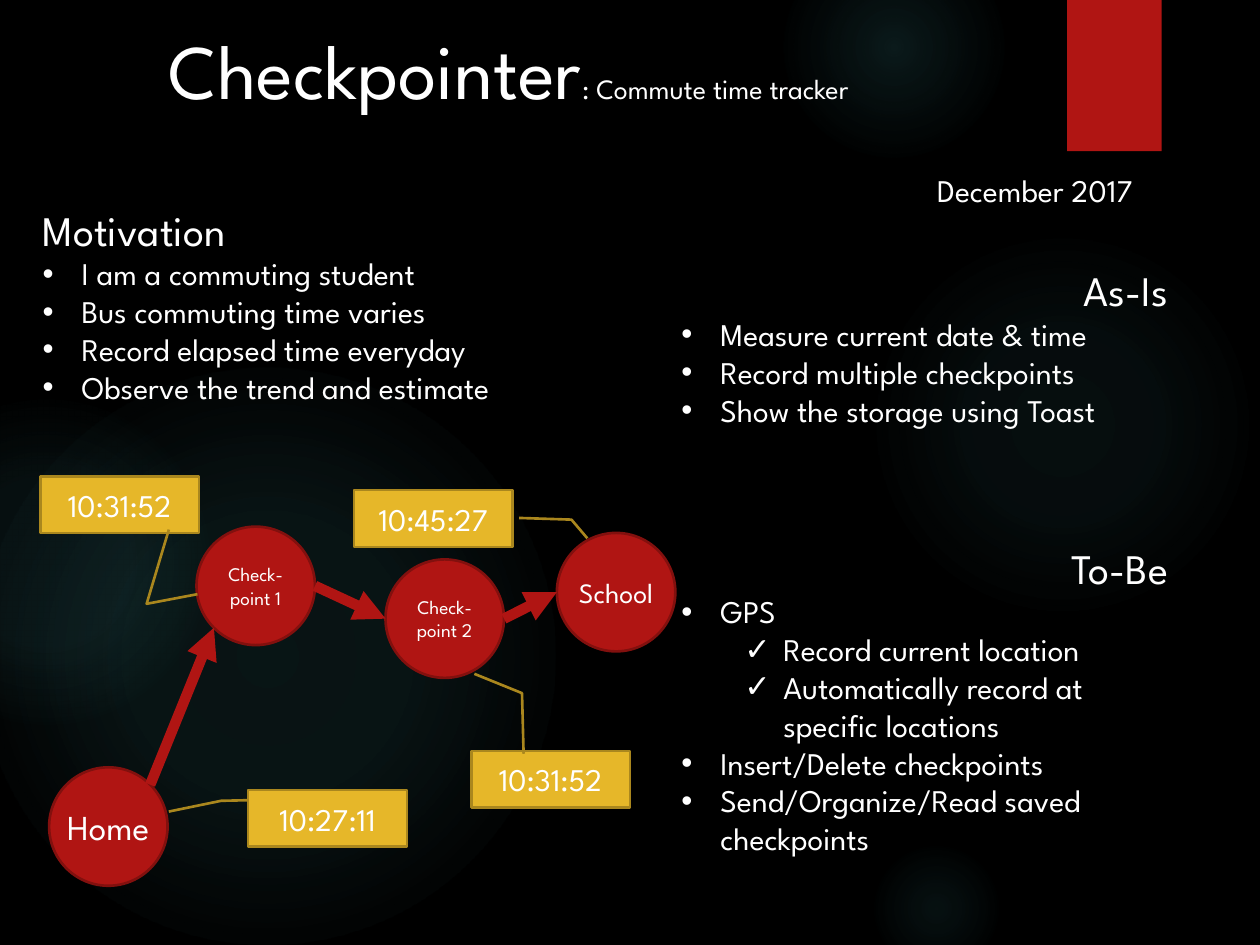
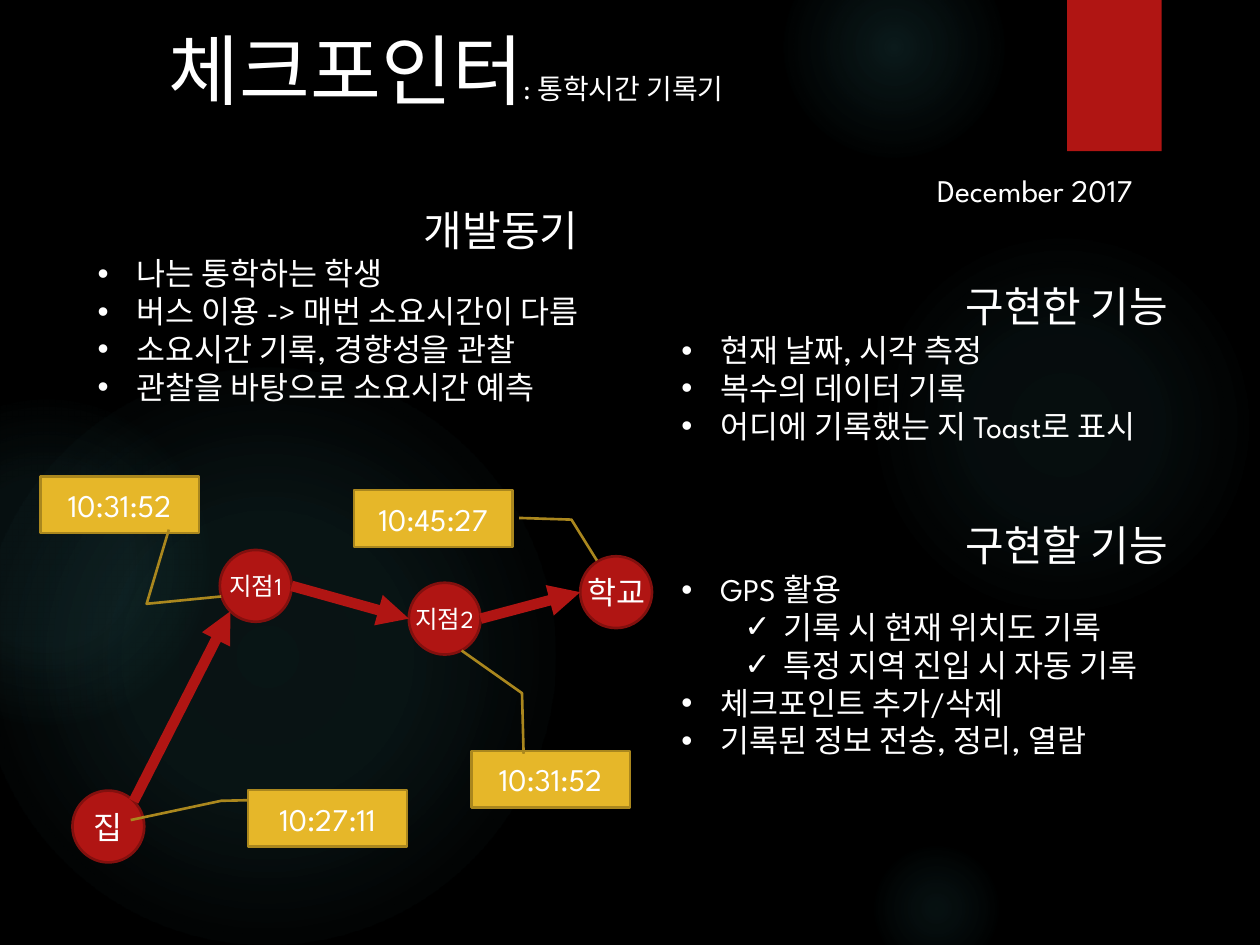
from math import cos, pi, sin

from lxml.etree import SubElement
from pptx import Presentation
from pptx.dml.color import RGBColor
from pptx.enum.shapes import MSO_CONNECTOR, MSO_SHAPE
from pptx.enum.text import MSO_ANCHOR, MSO_AUTO_SIZE, PP_ALIGN
from pptx.oxml.ns import qn
from pptx.util import Inches, Pt

FONT = "League Spartan"
BLACK, WHITE = "000000", "FFFFFF"
RED, DARK_RED = "B01513", "82100E"
GOLD, DARK_GOLD = "E6B729", "AA871E"
TEAL = "50B9C1"

GLOWS = [
    (6.89, 1.83, 3.08, [(0, 7), (36, 6), (69, 0)]),
    (6.22, -0.5, 1.75, [(0, 14), (36, 7), (73, 0)]),
    (6.89, 6.67, 1.08, [(0, 9), (36, 5), (66, 0)]),
    (-0.17, 2.92, 4.58, [(0, 11), (36, 10), (75, 0)]),
    (-0.92, 3.17, 2.58, [(0, 8), (36, 8), (72, 0)]),
]
STOP_CENTERS = [(0.86, 6.56), (2.03, 4.65), (3.53, 4.91), (4.89, 4.7)]
UP_RIGHT, RIGHT, DOWN_LEFT, LEFT = -pi / 4, 0, 3 * pi / 4, pi
LEGS = [(UP_RIGHT, DOWN_LEFT), (RIGHT, LEFT), (RIGHT, LEFT)]
TIMES = [
    ("10:27:11", 1.97, 6.27),
    ("10:31:52", 0.32, 3.78),
    ("10:31:52", 3.74, 5.96),
    ("10:45:27", 2.81, 3.89),
]
HEADING, POINT, CHECK = "heading", "point", "check"

ENGLISH = {
    "title": ("Checkpointer", ": Commute time tracker"),
    "motivation_at": (0.24, 1.57, 4.45, 1.72),
    "motivation_align": PP_ALIGN.LEFT,
    "motivation": [
        (HEADING, "Motivation"),
        (POINT, "I am a commuting student"),
        (POINT, "Bus commuting time varies"),
        (POINT, "Record elapsed time everyday"),
        (POINT, "Observe the trend and estimate"),
    ],
    "features_at": (5.31, 2.05, 4.06, 4.85),
    "features_gap": 65,
    "features": [
        (HEADING, "As-Is"),
        (POINT, "Measure current date & time"),
        (POINT, "Record multiple checkpoints"),
        (POINT, "Show the storage using Toast"),
        (HEADING, "To-Be"),
        (POINT, "GPS"),
        (CHECK, "Record current location"),
        (CHECK, "Automatically record at specific locations"),
        (POINT, "Insert/Delete checkpoints"),
        (POINT, "Send/Organize/Read saved checkpoints"),
    ],
    "stop_diameter": 0.94,
    "stops": [(["Home"], 20), (["Check-", "point 1"], 11),
              (["Check-", "point 2"], 11), (["School"], 16)],
    "leaders": [
        (0.18, 0, 0.19, -0.17, 0.38, -0.5),
        (0.94, 0.81, 2.25, 0.67, 2.08, 0.99),
        (0.05, 0.33, -1.02, 0.32, -1.36, 0.02),
        (0.85, 1.47, 0.52, 1.37, 0.49, 1.04),
    ],
}

KOREAN = {
    "title": ("체크포인터", ": 통학시간 기록기"),
    "motivation_at": (0.32, 1.57, 4.37, 1.72),
    "motivation_align": PP_ALIGN.RIGHT,
    "motivation": [
        (HEADING, "개발동기"),
        (POINT, "나는 통학하는 학생"),
        (POINT, "버스 이용 -> 매번 소요시간이 다름"),
        (POINT, "소요시간 기록, 경향성을 관찰"),
        (POINT, "관찰을 바탕으로 소요시간 예측"),
    ],
    "features_at": (5.31, 2.18, 4.06, 4.54),
    "features_gap": 43,
    "features": [
        (HEADING, "구현한 기능"),
        (POINT, "현재 날짜, 시각 측정"),
        (POINT, "복수의 데이터 기록"),
        (POINT, "어디에 기록했는 지 Toast로 표시"),
        (HEADING, "구현할 기능"),
        (POINT, "GPS 활용"),
        (CHECK, "기록 시 현재 위치도 기록"),
        (CHECK, "특정 지역 진입 시 자동 기록"),
        (POINT, "체크포인트 추가/삭제"),
        (POINT, "기록된 정보 전송, 정리, 열람"),
    ],
    "stop_diameter": 0.57,
    "stops": [(["집"], 18), (["지점1"], 14), (["지점2"], 14), (["학교"], 18)],
    "leaders": [
        (0.18, 0, 0.19, -0.17, 0.53, -0.74),
        (0.94, 0.81, 2.25, 0.67, 2.12, 1.14),
        (0.05, 0.33, -1.02, 0.32, -1.77, -0.06),
        (1.24, 1.53, 0.52, 1.37, 0.49, 1.04),
    ],
}


def color(value):
    return RGBColor.from_string(value)


def box(*lengths):
    return [Inches(length) for length in lengths]


def style_run(run, size):
    run.font.name = FONT
    run.font.size = Pt(size)
    run.font.color.rgb = color(WHITE)


def write_lines(frame, lines, size, align):
    frame.text = "\n".join(lines)
    for paragraph in frame.paragraphs:
        paragraph.alignment = align
        style_run(paragraph.runs[0], size)


def add_panel(slide, kind, place, fill, outline=None):
    panel = slide.shapes.add_shape(kind, *box(*place))
    panel.shadow.inherit = False
    panel.fill.solid()
    panel.fill.fore_color.rgb = color(fill)
    if outline:
        panel.line.color.rgb = color(outline)
        panel.line.width = Pt(1.5)
    else:
        panel.line.fill.background()
    return panel


def add_label(slide, place, wrap):
    label = slide.shapes.add_textbox(*box(*place))
    label.text_frame.word_wrap = wrap
    label.text_frame.auto_size = MSO_AUTO_SIZE.SHAPE_TO_FIT_TEXT
    return label.text_frame


def add_alpha_color(parent, value, percent):
    tint = SubElement(parent, qn("a:srgbClr"), val=value)
    SubElement(tint, qn("a:alpha"), val=str(percent * 1000))


def add_glow(slide, left, top, size, stops):
    glow = add_panel(slide, MSO_SHAPE.OVAL, (left, top, size, size), TEAL)
    solid = glow.element.spPr.find(qn("a:solidFill"))
    gradient = SubElement(glow.element.spPr, qn("a:gradFill"), rotWithShape="1")
    stop_list = SubElement(gradient, qn("a:gsLst"))
    for position, alpha in stops:
        stop = SubElement(stop_list, qn("a:gs"), pos=str(position * 1000))
        add_alpha_color(stop, TEAL, alpha)
    circle = SubElement(gradient, qn("a:path"), path="circle")
    SubElement(circle, qn("a:fillToRect"), l="50000", t="50000", r="50000", b="50000")
    glow.element.spPr.replace(solid, gradient)
    return glow


def add_ribbon(slide):
    ribbon = add_panel(slide, MSO_SHAPE.RECTANGLE, (8.47, 0, 0.75, 1.2), RED)
    effects = ribbon.element.spPr.find(qn("a:effectLst"))
    shadow = SubElement(effects, qn("a:outerShdw"), blurRad=str(Pt(3)),
                        dist=str(Pt(2)), dir="5400000", rotWithShape="0")
    add_alpha_color(shadow, BLACK, 45)
    return ribbon


def dress_layout(layout, slide):
    layout.background.fill.solid()
    layout.background.fill.fore_color.rgb = color(BLACK)
    decorations = [add_glow(slide, *glow) for glow in GLOWS] + [add_ribbon(slide)]
    for decoration in decorations:
        layout.shapes.element.append(decoration.element)


def set_title(slide, name, tagline):
    title = slide.shapes.title
    title.left, title.top, title.width, title.height = box(1.24, 0.13, 7.51, 0.84)
    frame = title.text_frame
    frame.word_wrap = True
    frame.auto_size = MSO_AUTO_SIZE.NONE
    frame.vertical_anchor = MSO_ANCHOR.TOP
    paragraph = frame.paragraphs[0]
    paragraph.alignment = PP_ALIGN.LEFT
    for words, size in ((name, 44), (tagline, 16)):
        run = paragraph.add_run()
        run.text = words
        style_run(run, size)


def set_bullet(paragraph, mark, indent):
    properties = paragraph._p.get_or_add_pPr()
    properties.set("marL", str(Inches(indent)))
    properties.set("indent", str(Inches(-0.31)))
    SubElement(properties, qn("a:buFont"), typeface="Arial")
    SubElement(properties, qn("a:buChar"), char=mark)


def add_outline(slide, place, entries, heading_align, wrap, gap=0):
    frame = add_label(slide, place, wrap)
    frame.text = "\n".join(words for _, words in entries)
    for index, (paragraph, (role, _)) in enumerate(zip(frame.paragraphs, entries)):
        style_run(paragraph.runs[0], 24 if role == HEADING else 18)
        if role == HEADING:
            paragraph.alignment = heading_align
            if index:
                paragraph.space_before = Pt(gap)
        elif role == POINT:
            set_bullet(paragraph, "•", 0.31)
        else:
            paragraph.level = 1
            set_bullet(paragraph, "✓", 0.81)


def add_stop(slide, center, diameter, lines, size):
    x, y = center
    place = (x - diameter / 2, y - diameter / 2, diameter, diameter)
    stop = add_panel(slide, MSO_SHAPE.OVAL, place, RED, DARK_RED)
    frame = stop.text_frame
    frame.word_wrap = False
    frame.vertical_anchor = MSO_ANCHOR.MIDDLE
    write_lines(frame, lines, size, PP_ALIGN.CENTER)


def rim_point(center, diameter, angle):
    x, y = center
    return box(x + diameter / 2 * cos(angle), y + diameter / 2 * sin(angle))


def add_leg(slide, start, end):
    leg = slide.shapes.add_connector(MSO_CONNECTOR.STRAIGHT, *start, *end)
    leg.line.color.rgb = color(RED)
    leg.line.width = Pt(6)
    SubElement(leg.line._get_or_add_ln(), qn("a:tailEnd"), type="triangle")
    SubElement(leg.element.spPr, qn("a:effectLst"))


def add_time(slide, time, left, top, leader):
    place = (left, top, 1.26, 0.45)
    callout = add_panel(slide, MSO_SHAPE.LINE_CALLOUT_2, place, GOLD, DARK_GOLD)
    for index, value in enumerate(leader):
        callout.adjustments[index] = value
    callout.text_frame.vertical_anchor = MSO_ANCHOR.MIDDLE
    write_lines(callout.text_frame, [time], 18, PP_ALIGN.CENTER)


def add_route(slide, content):
    diameter = content["stop_diameter"]
    for center, (lines, size) in zip(STOP_CENTERS, content["stops"]):
        add_stop(slide, center, diameter, lines, size)
    for origin, target, (leave, arrive) in zip(STOP_CENTERS, STOP_CENTERS[1:], LEGS):
        add_leg(slide, rim_point(origin, diameter, leave),
                rim_point(target, diameter, arrive))
    for (time, left, top), leader in zip(TIMES, content["leaders"]):
        add_time(slide, time, left, top, leader)


def add_overview(deck, layout, content):
    slide = deck.slides.add_slide(layout)
    set_title(slide, *content["title"])
    add_outline(slide, content["motivation_at"], content["motivation"],
                content["motivation_align"], False)
    add_outline(slide, content["features_at"], content["features"],
                PP_ALIGN.RIGHT, True, content["features_gap"])
    add_route(slide, content)
    date = add_label(slide, (7.34, 1.31, 2.16, 0.4), False)
    write_lines(date, ["December 2017"], 18, PP_ALIGN.LEFT)
    return slide


def main():
    deck = Presentation()
    deck.slide_width, deck.slide_height = box(10, 7.5)
    title_only = deck.slide_layouts[5]
    english = add_overview(deck, title_only, ENGLISH)
    add_overview(deck, title_only, KOREAN)
    dress_layout(title_only, english)
    deck.save("out.pptx")


main()
